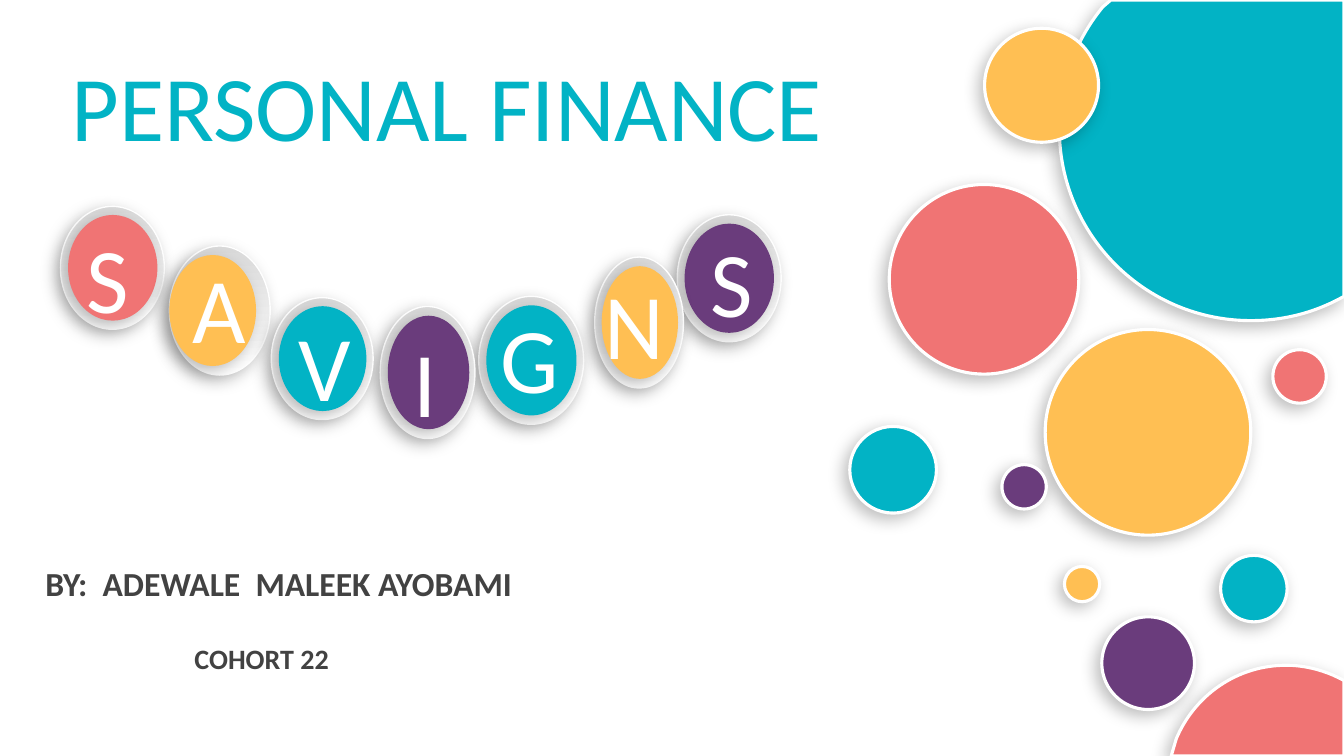
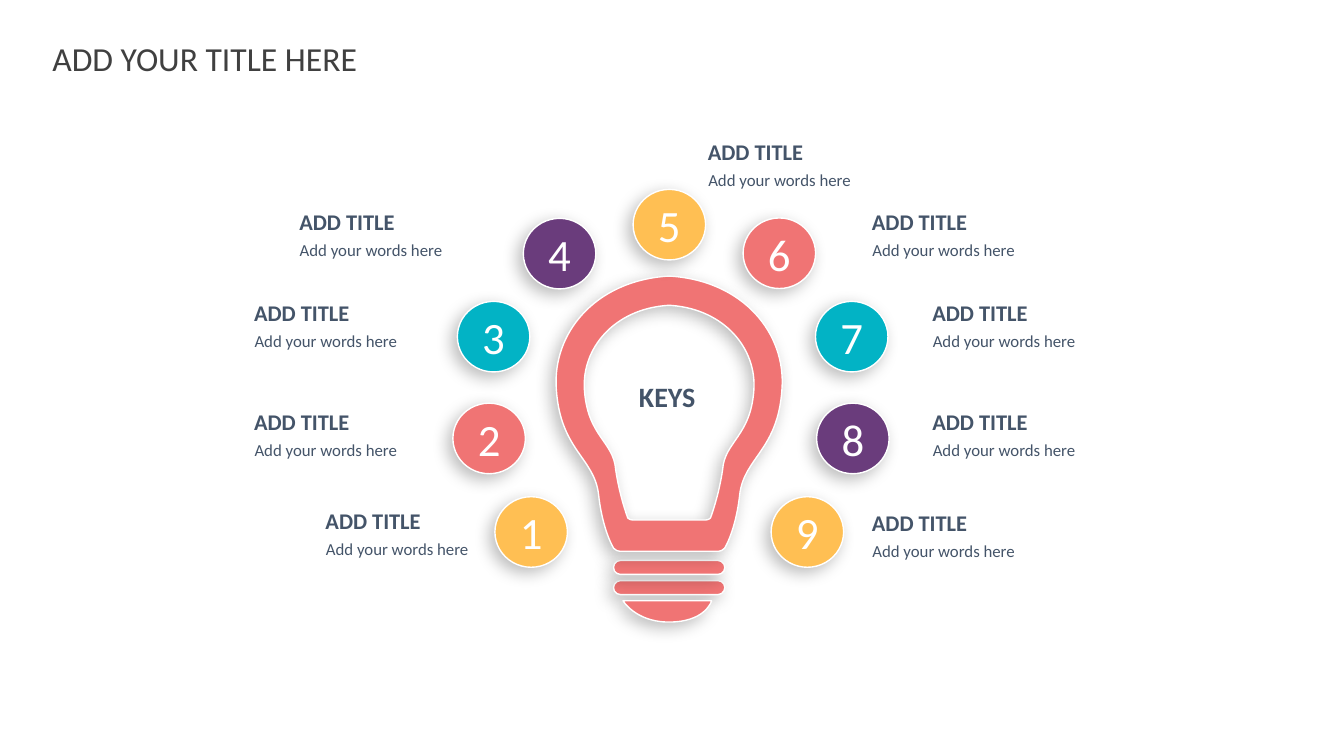
from lxml import etree
from pptx import Presentation
from pptx.dml.color import RGBColor
from pptx.enum.shapes import MSO_SHAPE
from pptx.enum.text import MSO_ANCHOR, MSO_AUTO_SIZE, PP_ALIGN
from pptx.oxml.ns import qn
from pptx.util import Pt

OVAL, ROUNDED = MSO_SHAPE.OVAL, MSO_SHAPE.ROUNDED_RECTANGLE
LEFT, CENTER, JUSTIFY = PP_ALIGN.LEFT, PP_ALIGN.CENTER, PP_ALIGN.JUSTIFY
TOP, MIDDLE = MSO_ANCHOR.TOP, MSO_ANCHOR.MIDDLE
NO_FIT = MSO_AUTO_SIZE.NONE

TEAL = RGBColor(0x02, 0xB3, 0xC5)
CORAL = RGBColor(0xF0, 0x74, 0x74)
YELLOW = RGBColor(0xFF, 0xBF, 0x53)
PURPLE = RGBColor(0x6A, 0x3C, 0x7C)
WHITE = RGBColor(0xFF, 0xFF, 0xFF)
SILVER = RGBColor(0xD9, 0xD9, 0xD9)
CHARCOAL = RGBColor(0x42, 0x42, 0x42)
TITLE_GRAY = RGBColor(0x40, 0x40, 0x40)
SLATE = RGBColor(0x44, 0x54, 0x69)

FONT = "Calibri"
SLIDE_W, SLIDE_H = 960, 540
INSETS = (7.2, 3.6)
NO_INSETS = (0, 0)

# Outlines are a box and contours; a step of one point is a line, of three a curve
TOP_CIRCLE = ((756.7, 0, 203.3, 229), [[
    [(793.5, 0)], [(960, 0)], [(960, 211.7)],
    [(939.6, 223.2), (917.3, 229), (893.5, 229)],
    [(817.9, 229), (756.7, 167.8), (756.7, 92.2)],
    [(756.7, 59), (768.2, 28.8), (787.7, 5)],
]])
BOTTOM_CIRCLE = ((836.6, 475.2, 123.4, 64.8), [[
    [(918.7, 475.2)],
    [(931, 475.2), (942.5, 478.1), (952.6, 482.4)],
    [(960, 486)], [(960, 540)], [(836.6, 540)], [(840.2, 527.8)],
    [(853.2, 496.8), (883.4, 475.2), (918.7, 475.2)],
]])

# Slide 1: (left, top, diameter) or an outline, then the colour
BUBBLES = [
    ((746.6, 235.4, 146.9), YELLOW),
    (TOP_CIRCLE, TEAL),
    ((635.2, 131.8, 135.4), CORAL),
    ((787, 440.6, 66.2), PURPLE),
    ((871.9, 396.7, 47.5), TEAL),
    (BOTTOM_CIRCLE, CORAL),
    ((703.3, 20.2, 81.4), YELLOW),
    ((909.2, 249.8, 38.2), CORAL),
    ((760.3, 404.6, 25.2), YELLOW),
    ((607, 304.6, 61.9), TEAL),
    ((715.7, 331.9, 31.7), PURPLE),
]
# Letter, colour, ring box, disc indent, letter box
BADGES = [
    ("S", CORAL, (43.2, 147.4, 74.2, 87.8), 5.4, (54.7, 154.3, 36, 63.4)),
    ("A", YELLOW, (121, 175.7, 72, 92.2), 0, (130.3, 175.7, 157.7, 112.3)),
    ("G", TEAL, (342, 211.7, 74.9, 91.4), 5.4, (350.8, 211.7, 50, 87.1)),
    ("I", PURPLE, (271.6, 218.9, 67.7, 94.3), 5.4, (288, 229, 36, 87.1)),
    ("S", PURPLE, (483.8, 153.4, 74.2, 90.7), 5.2, (500.4, 157, 38.9, 87.1)),
    ("V", TEAL, (193.8, 212.6, 72.7, 87.1), 5.4, (206, 217.6, 52, 87.1)),
    ("N", YELLOW, (424.8, 183.6, 63.4, 93.6), 5, (424.8, 187.3, 58, 87.1)),
]
DISC_RATIO = 0.86

# Slide 2: colour, circle position, label position; numbered in order
KEYS = [
    (YELLOW, (353.5, 354.8), (232.5, 362.2)),
    (CORAL, (323.5, 288), (181.5, 291.5)),
    (TEAL, (326.7, 215.3), (181.5, 213.8)),
    (PURPLE, (373.8, 156), (213.8, 148.4)),
    (YELLOW, (452.2, 135.3), (505.6, 98.6)),
    (CORAL, (530.8, 155.7), (622.8, 148.4)),
    (TEAL, (582.5, 215.3), (666, 213.8)),
    (PURPLE, (583.3, 288), (666, 291.5)),
    (YELLOW, (550.8, 354.8), (622.8, 363.5)),
]
HEADING = ("ADD TITLE", 16, SLATE, True)
WORDS = ("Add your words here", 12, SLATE, False)
WORDS_DROP = 22.6
KEY_SIZE = (51.8, 50.4)

# Bulb halves: start, then cubic curves, as (distance from axis, y)
BULB_AXIS = 478
BULB_BOX = (394.8, 197.3, 166.4, 196.6)
BULB_OUTER = [
    (1.4, 197.3),
    (53.3, 200.9), (83.5, 238.3), (80.6, 277.9),
    (77.8, 321.8), (53.3, 326.9), (50.4, 353.5),
    (47.5, 379.4), (39.6, 391.7), (39.6, 391.7),
    (38.2, 393.1), (36.7, 393.8), (35.3, 393.8),
]
BULB_INNER = [
    (1.4, 218.2),
    (39.6, 221), (62.6, 249.1), (60.5, 278.6),
    (58.3, 311.8), (39.6, 315.4), (38.2, 335.5),
    (35.3, 355), (29.5, 370.1), (29.5, 370.1),
    (28.8, 370.8), (27.4, 371.5), (25.9, 371.5),
]
BULB_TIP = ((445, 429.1, 63.3, 15.5), [[
    [(445, 429.1)], [(508.3, 429.1)],
    [(508.3, 429.1), (504, 445), (475.9, 444.3)],
    [(453.6, 443.5), (445, 429.1), (445, 429.1)],
]])
BAR_TOPS = (414.7, 400.3)
BAR_W, BAR_H = 79.5, 10


def add_soft_shadow(sp):
    sp.shadow.inherit = False
    effects = sp._element.spPr.find(qn("a:effectLst"))
    shadow = etree.SubElement(effects, qn("a:outerShdw"), blurRad=str(Pt(12)),
                              dist=str(Pt(5)), dir="8100000", algn="tr", rotWithShape="0")
    color = etree.SubElement(shadow, qn("a:srgbClr"), val="000000")
    etree.SubElement(color, qn("a:alpha"), val="26000")


def style_shape(sp, fill, line_width):
    """Fill with one colour, or with a vertical gradient for a (bottom, top) pair."""
    if isinstance(fill, RGBColor):
        sp.fill.solid()
        sp.fill.fore_color.rgb = fill
    else:
        sp.fill.gradient()
        sp.fill.gradient_angle = 90
        for stop, color in zip(sp.fill.gradient_stops, fill):
            stop.color.rgb = color
    if line_width:
        sp.line.color.rgb = WHITE
        sp.line.width = Pt(line_width)
    else:
        sp.line.fill.background()
    add_soft_shadow(sp)
    return sp


def add_preset(shapes, kind, box, fill, line_width=1):
    return style_shape(shapes.add_shape(kind, *map(Pt, box)), fill, line_width)


def add_outline(shapes, box, contours, fill, line_width=1):
    """Add a freeform over the box and give it contours of lines and cubic curves."""
    left, top, width, height = map(Pt, box)
    right, bottom = left + width, top + height
    builder = shapes.build_freeform(left, top)
    builder.add_line_segments([(right, top), (right, bottom), (left, bottom)])
    sp = builder.convert_to_shape()
    outline = next(sp._element.iter(qn("a:path")))
    for child in list(outline):
        outline.remove(child)
    for contour in contours:
        for i, points in enumerate(contour):
            tag = "a:cubicBezTo" if len(points) == 3 else "a:lnTo" if i else "a:moveTo"
            step = etree.SubElement(outline, qn(tag))
            for x, y in points:
                etree.SubElement(step, qn("a:pt"), x=str(Pt(x) - left), y=str(Pt(y) - top))
        etree.SubElement(outline, qn("a:close"))
    return style_shape(sp, fill, line_width)


def mirrored(half):
    """Contour of a half outline, closed by its reflection in the bulb axis."""
    left = [(BULB_AXIS - x, y) for x, y in half]
    right = [(BULB_AXIS + x, y) for x, y in reversed(half)]
    contour = []
    for side in (left, right):
        contour.append(side[:1])
        contour += [side[i:i + 3] for i in range(1, len(side), 3)]
    return contour


def write(sp, line, align=LEFT, anchor=TOP, insets=INSETS):
    """Put one (text, size, colour, bold) line into a shape."""
    tf = sp.text_frame
    x, y = map(Pt, insets)
    frame = dict(word_wrap=True, auto_size=NO_FIT, vertical_anchor=anchor,
                 margin_left=x, margin_right=x, margin_top=y, margin_bottom=y)
    for name, value in frame.items():
        setattr(tf, name, value)
    text, size, color, bold = line
    p = tf.paragraphs[0]
    p.alignment = align
    p.space_before = Pt(0)
    r = p.add_run()
    r.text = text
    for name, value in dict(name=FONT, size=Pt(size), bold=bold).items():
        setattr(r.font, name, value)
    r.font.color.rgb = color


def add_text(shapes, box, line, **options):
    write(shapes.add_textbox(*map(Pt, box)), line, **options)


def fill_placeholder(sp, box, line, align=LEFT):
    for name, value in zip(("left", "top", "width", "height"), box):
        setattr(sp, name, Pt(value))
    write(sp, line, align=align)


def add_bubble(shapes, geometry, color):
    if len(geometry) == 3:
        left, top, size = geometry
        add_preset(shapes, OVAL, (left, top, size, size), color, 2.25)
    else:
        add_outline(shapes, *geometry, color, 2.25)


def add_badge(shapes, letter, color, ring, indent, letter_box):
    group = shapes.add_group_shape().shapes
    left, top, width, height = ring
    disc_h = height * DISC_RATIO
    disc = (left + indent, top + (height - disc_h) / 2, width * DISC_RATIO, disc_h)
    add_preset(group, OVAL, ring, (WHITE, SILVER))
    add_preset(group, OVAL, disc, color, 0)
    add_text(group, letter_box, (letter, 66, WHITE, False))


def build_cover(prs):
    s = prs.slides.add_slide(prs.slide_layouts[0])
    title, author = s.placeholders
    for bubble in BUBBLES:
        add_bubble(s.shapes, *bubble)
    fill_placeholder(title, (43.9, 31.7, 591.8, 100.8), ("PERSONAL FINANCE", 66, TEAL, False))
    fill_placeholder(author, (25.2, 398.6, 426.2, 30.2),
                     ("BY:  ADEWALE  MALEEK AYOBAMI", 24, CHARCOAL, True), JUSTIFY)
    add_text(s.shapes, (131.8, 454.4, 130.3, 38.2), ("COHORT 22", 20, CHARCOAL, True),
             align=JUSTIFY)
    for badge in BADGES:
        add_badge(s.shapes, *badge)


def build_keys(prs):
    s = prs.slides.add_slide(prs.slide_layouts[5])
    fill_placeholder(s.shapes.title, (30.2, 23.4, 334.8, 36.7),
                     ("ADD YOUR TITLE HERE", 24, TITLE_GRAY, False))
    for top in BAR_TOPS:
        bar = add_preset(s.shapes, ROUNDED, (BULB_AXIS - BAR_W / 2, top, BAR_W, BAR_H), CORAL)
        bar.adjustments[0] = 0.5
    add_outline(s.shapes, *BULB_TIP, CORAL)
    add_outline(s.shapes, BULB_BOX, [mirrored(BULB_OUTER), mirrored(BULB_INNER)], CORAL)
    for number, (color, position, (x, y)) in enumerate(KEYS, 1):
        circle = add_preset(s.shapes, OVAL, (*position, *KEY_SIZE), color)
        write(circle, (str(number), 32, WHITE, False), align=CENTER, anchor=MIDDLE,
              insets=NO_INSETS)
        add_text(s.shapes, (x, y, 154, 19.4), HEADING, insets=NO_INSETS)
        add_text(s.shapes, (x + 0.3, y + WORDS_DROP, 183.6, 14.4), WORDS, insets=NO_INSETS)
    add_text(s.shapes, (422.6, 271.2, 108, 24.5), ("KEYS", 20, SLATE, True),
             align=CENTER, insets=NO_INSETS)


def main():
    prs = Presentation()
    prs.slide_width, prs.slide_height = Pt(SLIDE_W), Pt(SLIDE_H)
    build_cover(prs)
    build_keys(prs)
    prs.save("out.pptx")


if __name__ == "__main__":
    main()
